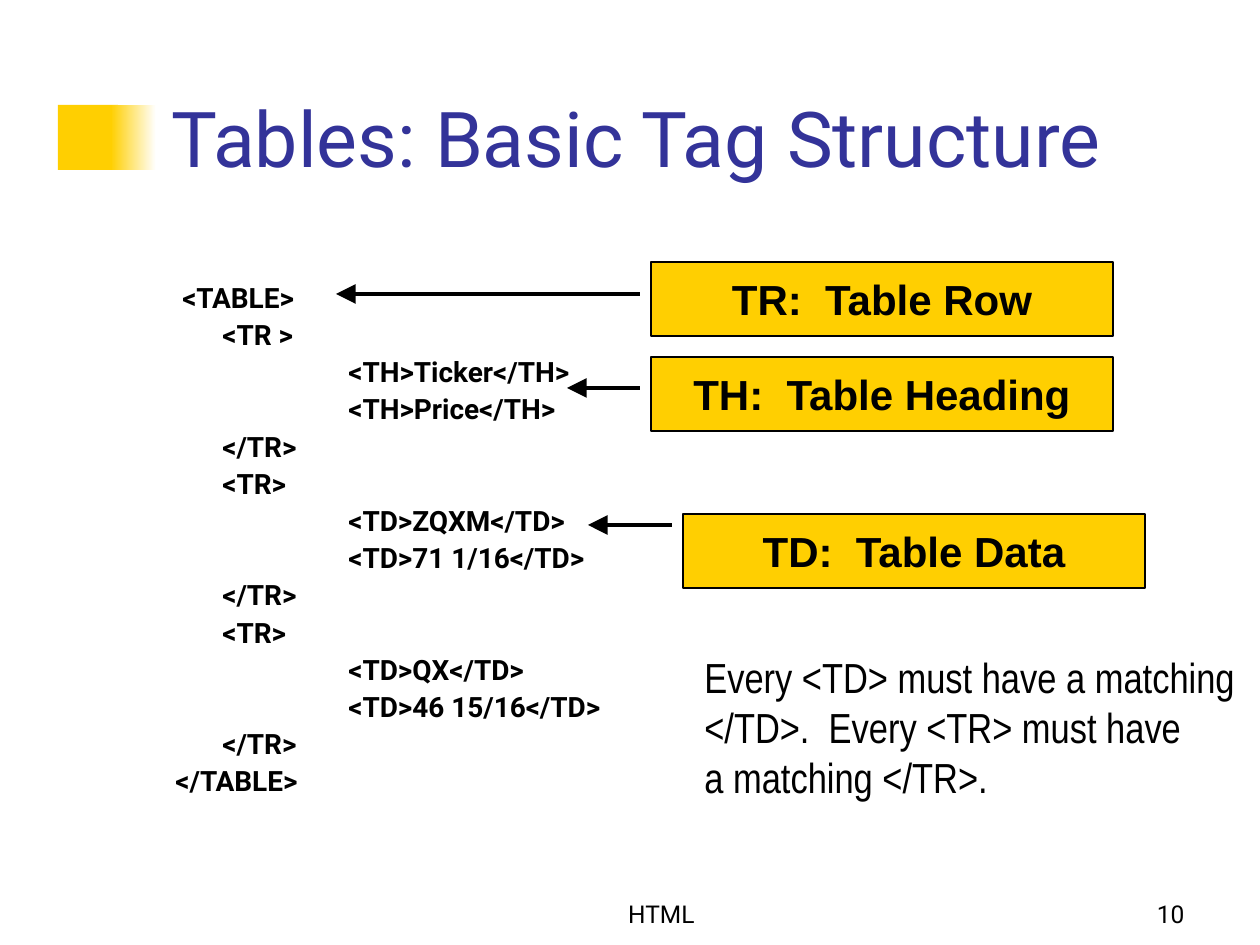
from lxml import etree
from pptx import Presentation
from pptx import util as u
from pptx.dml.color import RGBColor
from pptx.enum import shapes, text
from pptx.oxml.ns import qn

PX = 914400 / 126
COLORS = {"gold": "FFCF01", "white": "FFFFFF", "title": "333399", "black": "000000"}
COLORS = {name: RGBColor.from_string(value) for name, value in COLORS.items()}


def px(*lengths):
    return [u.Emu(round(length * PX)) for length in lengths]


def write(shape, lines, size, font, color="black", bold=False, wrap=True,
          align=text.PP_ALIGN.LEFT, anchor=text.MSO_ANCHOR.TOP):
    frame = shape.text_frame
    frame.word_wrap = wrap
    frame.vertical_anchor = anchor
    for index, line in enumerate(lines):
        paragraph = frame.add_paragraph() if index else frame.paragraphs[0]
        paragraph.text = line
        paragraph.alignment = align
        paragraph.font.size = u.Pt(size)
        paragraph.font.name = font
        paragraph.font.bold = bold
        paragraph.font.color.rgb = COLORS[color]
    return frame


presentation = Presentation()
presentation.slide_width, presentation.slide_height = px(1260, 945)
slide = presentation.slides.add_slide(presentation.slide_layouts[6])
items = slide.shapes

# Accent beside the title: a solid block fading out to the right
block = items.add_shape(shapes.MSO_SHAPE.RECTANGLE, *px(58, 105, 60, 65))
block.fill.solid()
block.fill.fore_color.rgb = COLORS["gold"]
fade = items.add_shape(shapes.MSO_SHAPE.RECTANGLE, *px(111, 105, 45, 65))
fade.fill.gradient()
fade.fill.gradient_angle = 180
for stop, position, color in zip(fade.fill.gradient_stops, (0, 1), ("white", "gold")):
    stop.position = position
    stop.color.rgb = COLORS[color]
for shape in (block, fade):
    shape.line.fill.background()
    shape.shadow.inherit = False

# Title
title = items.add_textbox(*px(159, 86, 1073, 103))
write(title, ["Tables: Basic Tag Structure"], 44, "Roboto", "title",
      anchor=text.MSO_ANCHOR.BOTTOM)

# Code listing: nesting level and line
code = [
    (0, " <TABLE>"),
    (1, "<TR >"),
    (2, "<TH>Ticker</TH>"),
    (2, "<TH>Price</TH>"),
    (1, "</TR>"),
    (1, "<TR>"),
    (2, "<TD>ZQXM</TD>"),
    (2, "<TD>71 1/16</TD>"),
    (1, "</TR>"),
    (1, "<TR>"),
    (2, "<TD>QX</TD>"),
    (2, "<TD>46 15/16</TD>"),
    (1, "</TR>"),
    (0, "</TABLE>"),
]
listing = items.add_textbox(*px(163, 278, 1071, 567))
indents = px(0, 47, 173)
frame = write(listing, [line for level, line in code], 16, "Roboto", bold=True)
for index, (paragraph, (level, line)) in enumerate(zip(frame.paragraphs, code)):
    paragraph.line_spacing = 0.9
    paragraph.space_before = u.Pt(4 if index else 0)
    properties = paragraph.font._element.getparent()
    properties.set("marL", str(indents[level]))
    properties.set("indent", "0")

# Labels with arrows to the code: label, left, top, arrow start, arrow tip, arrow y
callouts = [
    ("TR:  Table Row", 651, 262, 640, 336, 294),
    ("TH:  Table Heading", 651, 357, 640, 567, 388),
    ("TD:  Table Data", 683, 514, 672, 588, 525),
]
for label, left, top, start, tip, y in callouts:
    box = items.add_shape(shapes.MSO_SHAPE.RECTANGLE, *px(left, top, 462, 74))
    box.shadow.inherit = False
    box.fill.solid()
    box.fill.fore_color.rgb = COLORS["gold"]
    box.line.color.rgb = COLORS["black"]
    box.line.width = u.Pt(0.75)
    write(box, [label], 24, "Arial", bold=True, wrap=False,
          align=text.PP_ALIGN.CENTER, anchor=text.MSO_ANCHOR.MIDDLE)

    arrow = items.add_connector(shapes.MSO_CONNECTOR.STRAIGHT, *px(start, y, tip, y))
    arrow.line.color.rgb = COLORS["black"]
    arrow.line.width = u.Pt(2.25)
    etree.SubElement(arrow.line._get_or_add_ln(), qn("a:tailEnd"),
                     type="triangle", w="lg", len="lg")
    etree.SubElement(arrow._element.spPr, qn("a:effectLst"))

# Note on matching tags
note = items.add_textbox(*px(692, 645, 556, 164))
write(note, ["Every <TD> must have a matching", "</TD>.  Every <TR> must have",
             "a matching </TR>."], 24, "Arial Narrow", wrap=False)

# Footer and slide number
for words, left, width, align in (("HTML", 462, 399, text.PP_ALIGN.CENTER),
                                  ("10", 935, 262, text.PP_ALIGN.RIGHT)):
    footer = items.add_textbox(*px(left, 872, width, 63))
    write(footer, [words], 14, "Roboto", align=align, anchor=text.MSO_ANCHOR.BOTTOM)

presentation.save("out.pptx")
